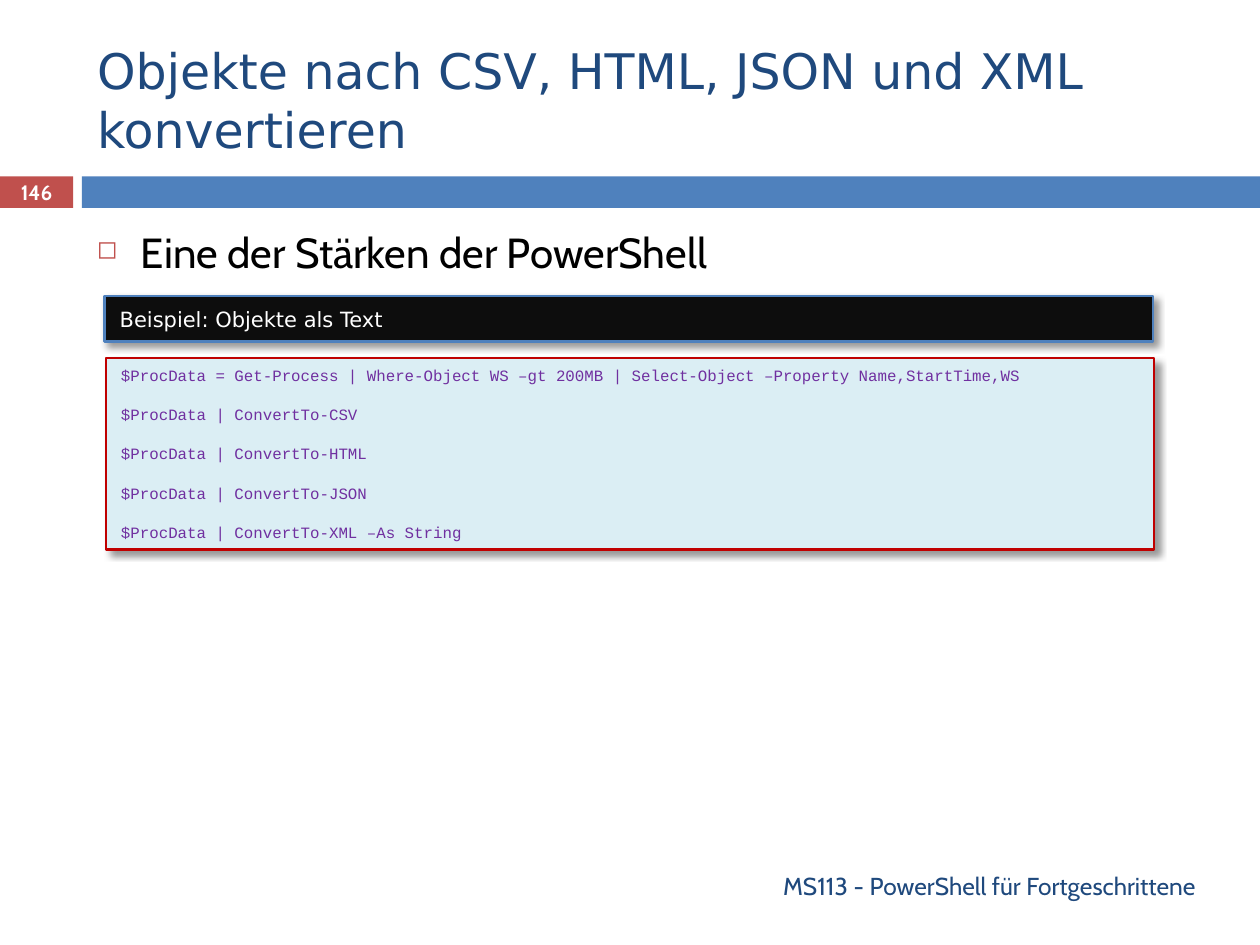
from lxml.etree import SubElement
from pptx import Presentation
from pptx.dml.color import RGBColor
from pptx.enum.shapes import MSO_SHAPE
from pptx.enum.text import MSO_ANCHOR, MSO_AUTO_SIZE, PP_ALIGN
from pptx.oxml.ns import qn
from pptx.util import Pt

COLORS = {
    "navy": "1F497D", "blue": "4F81BD", "red": "C0504D", "crimson": "C00000",
    "black": "000000", "white": "FFFFFF", "ink": "0D0D0D", "ice": "DBEEF4",
    "purple": "7030A0",
}
TITLE = {"name": "DejaVu Sans", "size": 28, "color": "navy", "bold": False}
FOOTER = {"name": "Cabin", "size": 14, "color": "navy"}
NUMBER = {"name": "Cabin", "size": 11.9, "color": "white", "bold": True}
BODY = {"name": "Cabin", "size": 24, "color": "black"}
CAPTION = {"name": "DejaVu Sans", "size": 12, "color": "white"}
CODE = {"name": "Courier New", "size": 9, "color": "purple"}
LEFT, WIDTH = 48.24, 642.24
CODE_LINES = [
    "$ProcData = Get-Process | Where-Object WS –gt 200MB | Select-Object –Property Name,StartTime,WS",
    "$ProcData | ConvertTo-CSV",
    "$ProcData | ConvertTo-HTML",
    "$ProcData | ConvertTo-JSON",
    "$ProcData | ConvertTo-XML –As String",
]


def rgb(name):
    """Look up a palette colour."""
    return RGBColor.from_string(COLORS[name])


def apply_font(font, style):
    """Set the font attributes listed in a style."""
    values = {**style, "size": Pt(style["size"])}
    font.color.rgb = rgb(values.pop("color"))
    for name, value in values.items():
        setattr(font, name, value)


def write(shape, lines, style, align=PP_ALIGN.LEFT, anchor=MSO_ANCHOR.MIDDLE, gap=0):
    """Fill a shape with one paragraph per line, parted by a gap."""
    frame = shape.text_frame
    for name, value in {"word_wrap": True, "vertical_anchor": anchor}.items():
        setattr(frame, name, value)
    for index, line in enumerate(lines):
        para = frame.paragraphs[0] if index == 0 else frame.add_paragraph()
        para.alignment = align
        if index:
            para.space_before = Pt(gap)
        span = para.add_run()
        span.text = line
        apply_font(span.font, style)
    return frame


def add_bar(page, bounds, fill):
    """Add a filled rectangle without outline or shadow."""
    bar = page.shapes.add_shape(MSO_SHAPE.RECTANGLE, *map(Pt, bounds))
    bar.shadow.inherit = False
    bar.fill.solid()
    bar.fill.fore_color.rgb = rgb(fill)
    bar.line.fill.background()
    return bar


def add_text(page, bounds, line, style, **layout):
    """Add a text box with a single paragraph."""
    box = page.shapes.add_textbox(*map(Pt, bounds))
    return write(box, [line], style, **layout)


def add_bullet(para, char, color, indent):
    """Give a paragraph a coloured hanging bullet at 60 percent size."""
    properties = para._p.get_or_add_pPr()
    properties.set("marL", str(Pt(indent)))
    properties.set("indent", str(-Pt(indent)))
    tint = SubElement(properties, qn("a:buClr"))
    SubElement(tint, qn("a:srgbClr"), val=COLORS[color])
    SubElement(properties, qn("a:buSzPct"), val="60000")
    SubElement(properties, qn("a:buChar"), char=char)


def add_shadow(shape):
    """Cast a soft shadow to the lower right."""
    effects = shape._element.spPr.find(qn("a:effectLst"))
    shadow = SubElement(effects, qn("a:outerShdw"), blurRad=str(Pt(4)),
                        dist=str(Pt(3)), dir="2700000", algn="tl", rotWithShape="0")
    tint = SubElement(shadow, qn("a:srgbClr"), val=COLORS["black"])
    SubElement(tint, qn("a:alpha"), val="40000")


def add_panel(page, bounds, fill, outline, lines, style, gap=0):
    """Add an outlined text panel with a shadow."""
    panel = add_bar(page, bounds, fill)
    panel.line.color.rgb = rgb(outline)
    panel.line.width = Pt(1.5)
    add_shadow(panel)
    frame = write(panel, lines, style, gap=gap)
    frame.auto_size = MSO_AUTO_SIZE.SHAPE_TO_FIT_TEXT
    margins = {"left": 8.64, "top": 5.76, "right": 7.2, "bottom": 5.76}
    for side, value in margins.items():
        setattr(frame, f"margin_{side}", Pt(value))


def set_title(page, text):
    """Place and format the title placeholder."""
    title = page.shapes.title
    bounds = {"left": LEFT, "top": 18, "width": WIDTH, "height": 77.76}
    for name, value in bounds.items():
        setattr(title, name, Pt(value))
    write(title, [text], TITLE).auto_size = MSO_AUTO_SIZE.NONE


def main():
    """Build and save the slide."""
    deck = Presentation()
    deck.slide_width, deck.slide_height = Pt(720), Pt(540)
    page = deck.slides.add_slide(deck.slide_layouts[5])
    add_bar(page, (0, 100.8, 41.76, 18), "red")
    add_bar(page, (46.8, 100.8, 673.2, 18), "blue")
    set_title(page, "Objekte nach CSV, HTML, JSON und XML konvertieren")
    add_text(page, (LEFT, 491.76, WIDTH, 28.8), "MS113 - PowerShell für Fortgeschrittene",
             FOOTER, align=PP_ALIGN.RIGHT)
    add_text(page, (0, 100.08, 41.76, 19.44), "146", NUMBER, align=PP_ALIGN.CENTER)
    body = add_text(page, (LEFT, 126, WIDTH, 47.52), "Eine der Stärken der PowerShell",
                    BODY, anchor=MSO_ANCHOR.TOP)
    add_bullet(body.paragraphs[0], "◻", "red", 25.2)
    add_panel(page, (59.76, 169.2, 599.04, 25.92), "ink", "blue",
              ["Beispiel: Objekte als Text"], CAPTION)
    add_panel(page, (60.48, 204.48, 599.04, 109.44), "ice", "crimson",
              CODE_LINES, CODE, gap=11.5)
    deck.save("out.pptx")


if __name__ == "__main__":
    main()
